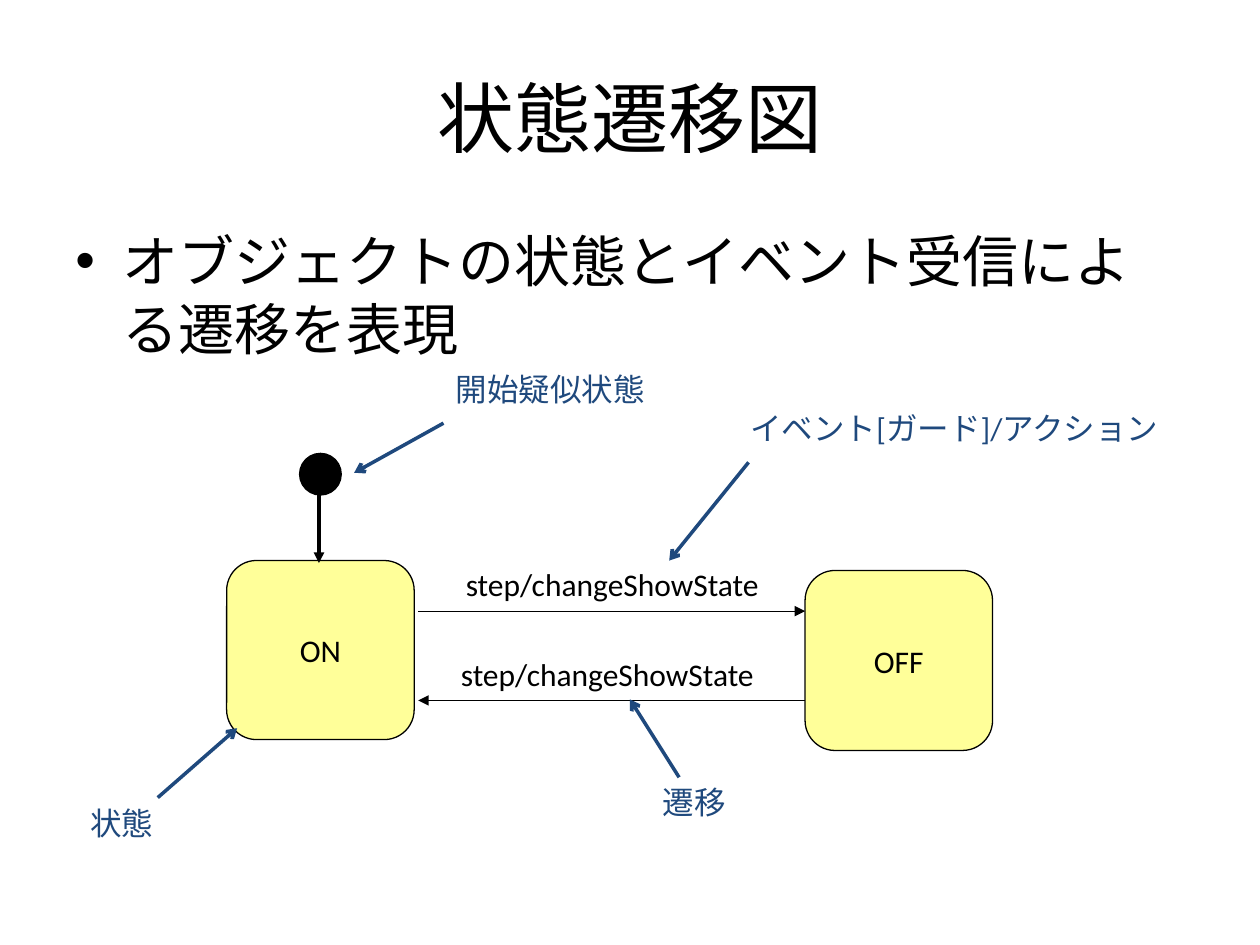
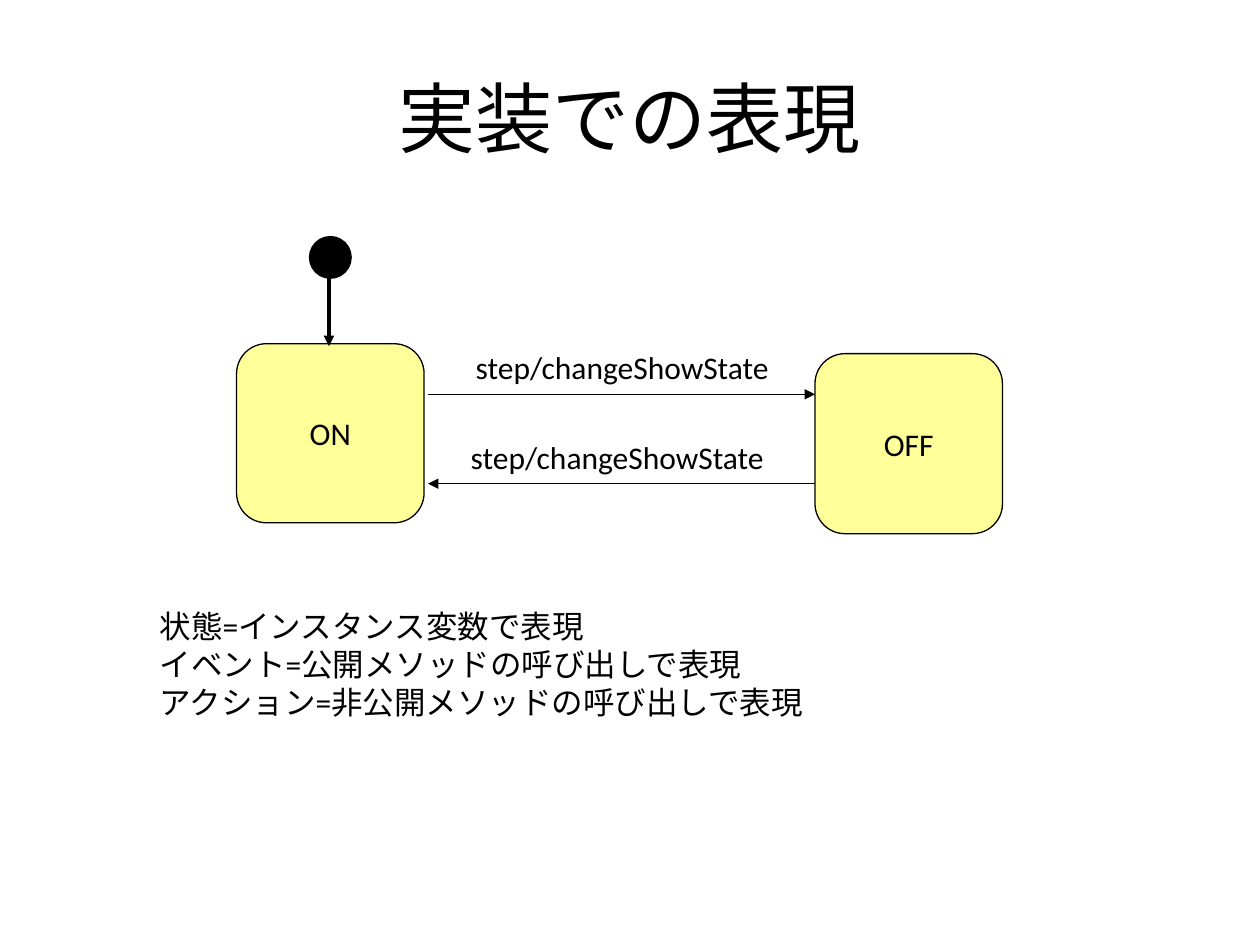
import dataclasses
import pptx
import pptx.dml.color
import pptx.enum.lang
import pptx.enum.shapes
import pptx.enum.text
import pptx.oxml.ns
import pptx.util
from lxml import etree

Cm = pptx.util.Cm
Pt = pptx.util.Pt
SHAPES = pptx.enum.shapes.MSO_SHAPE
ALIGN = pptx.enum.text.PP_ALIGN
ANCHOR = pptx.enum.text.MSO_ANCHOR
FIT = pptx.enum.text.MSO_AUTO_SIZE


# Colours, font and sizes
@dataclasses.dataclass(frozen=True)
class Theme:
    font: str = "Calibri"
    ink: str = "000000"
    note: str = "1F497D"
    state: str = "FFFF99"
    title: int = 44
    body: int = 32
    small: int = 18
    thin: float = 0.75
    thick: float = 2


THEME = Theme()


def color(code):
    return pptx.dml.color.RGBColor.from_string(code)


def add(parent, tag, **attrs):
    return etree.SubElement(parent, pptx.oxml.ns.qn(tag), attrs)


# Text
def write(frame, text, size=THEME.small, ink=THEME.ink, align=ALIGN.LEFT,
          anchor=ANCHOR.TOP, wrap=True, grow=False, bullet=False):
    frame.word_wrap = wrap
    frame.auto_size = FIT.SHAPE_TO_FIT_TEXT if grow else FIT.NONE
    frame.vertical_anchor = anchor
    for i, line in enumerate(text.split("\n")):
        para = frame.add_paragraph() if i else frame.paragraphs[0]
        para.alignment = align
        run = para.add_run()
        run.text = line
        run.font.name = THEME.font
        run.font.size = Pt(size)
        run.font.color.rgb = color(ink)
        run.font.language_id = pptx.enum.lang.MSO_LANGUAGE_ID.JAPANESE
        if bullet:
            para.space_before = Pt(size * 0.2)
            props = para._p.get_or_add_pPr()
            props.set("marL", str(Cm(0.95)))
            props.set("indent", str(-Cm(0.95)))
            add(props, "a:buFont", typeface="Arial")
            add(props, "a:buChar", char="•")


def box(slide, text, x, y, w, h, **fmt):
    area = slide.shapes.add_textbox(Cm(x), Cm(y), Cm(w), Cm(h))
    write(area.text_frame, text, **fmt)


def label(slide, text, x, y, w, h, **fmt):
    box(slide, text, x, y, w, h, wrap=False, grow=True, **fmt)


# Shapes and arrows
def shape(slide, kind, x, y, w, h, fill):
    item = slide.shapes.add_shape(kind, Cm(x), Cm(y), Cm(w), Cm(h))
    item.shadow.inherit = False
    item.fill.solid()
    item.fill.fore_color.rgb = color(fill)
    item.line.color.rgb = color(THEME.ink)
    item.line.width = Pt(THEME.thin)
    return item


def state(slide, name, x, y, h):
    item = shape(slide, SHAPES.ROUNDED_RECTANGLE, x, y, 3.78, h, THEME.state)
    write(item.text_frame, name, align=ALIGN.CENTER,
          anchor=ANCHOR.MIDDLE, wrap=False)


def arrow(slide, x1, y1, x2, y2, ink=THEME.ink, width=THEME.thin,
          head="triangle"):
    link = slide.shapes.add_connector(
        pptx.enum.shapes.MSO_CONNECTOR.STRAIGHT, Cm(x1), Cm(y1), Cm(x2), Cm(y2))
    link.line.color.rgb = color(ink)
    link.line.width = Pt(width)
    add(link.line._get_or_add_ln(), "a:tailEnd", type=head)
    add(link._element.spPr, "a:effectLst")


# State diagram, placed by the corner of its ON box
def diagram(slide, x, y):
    left, right = x + 3.86, x + 11.66
    event = "step/changeShowState"
    state(slide, "ON", x, y, 3.61)
    arrow(slide, left, y + 1.02, right, y + 1.02)
    state(slide, "OFF", right, y + 0.2, 3.63)
    label(slide, event, x + 4.47, y + 1.78, 6.93, 1.02)
    arrow(slide, right, y + 2.82, left, y + 2.82)
    label(slide, event, x + 4.57, y - 0.03, 6.93, 1.02)
    shape(slide, SHAPES.OVAL, x + 1.47, y - 2.16, 0.84, 0.84, THEME.ink)
    arrow(slide, x + 1.86, y - 1.75, x + 1.86, y + 0.05, width=THEME.thick)


# Blue remark with its pointer
def remark(slide, text, x, y, w, line):
    arrow(slide, *line, ink=THEME.note, width=THEME.thick, head="arrow")
    label(slide, text, x, y, w, 1.3, ink=THEME.note)


def page(deck, title):
    slide = deck.slides.add_slide(deck.slide_layouts[6])
    box(slide, title, 1.27, 0.76, 22.86, 3.18, size=THEME.title,
        align=ALIGN.CENTER, anchor=ANCHOR.MIDDLE)
    return slide


def main():
    deck = pptx.Presentation()
    deck.slide_width, deck.slide_height = Cm(25.4), Cm(19.05)

    # Diagram with remarks
    slide = page(deck, "状態遷移図")
    box(slide, "オブジェクトの状態とイベント受信による遷移を表現",
        1.27, 4.45, 22.86, 12.57, size=THEME.body, bullet=True)
    diagram(slide, 4.57, 11.3)
    for text, x, y, w, line in (
            ("状態", 1.57, 16.08, 2.24, (3.18, 16.08, 4.78, 14.68)),
            ("遷移", 13.11, 15.67, 2.24, (13.69, 15.67, 12.7, 14.1)),
            ("イベント[ガード]/アクション", 14.88, 8.13, 10.03,
             (15.09, 9.32, 13.49, 11.3)),
            ("開始疑似状態", 8.94, 7.34, 5.64, (8.94, 8.53, 7.14, 9.53))):
        remark(slide, text, x, y, w, line)

    # Diagram in code terms
    slide = page(deck, "実装での表現")
    diagram(slide, 4.77, 6.93)
    box(slide, "状態=インスタンス変数で表現\n"
        "イベント=公開メソッドの呼び出しで表現\n"
        "アクション=非公開メソッドの呼び出しで表現".replace("=", "="),
        2.97, 12.12, 20.24, 3.33, grow=True)

    deck.save("out.pptx")


main()
